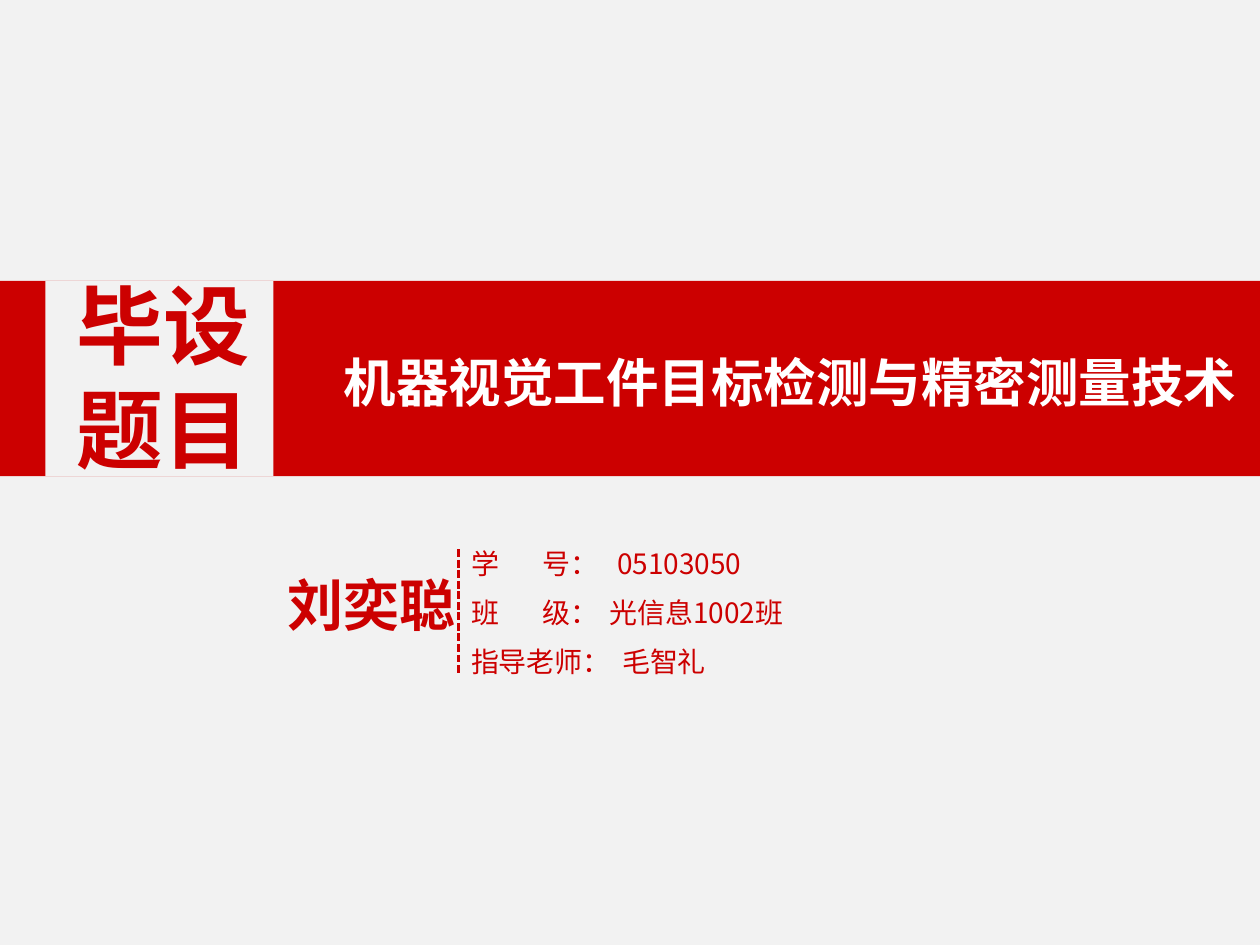
from lxml import etree
from pptx import Presentation
from pptx.dml.color import RGBColor
from pptx.enum.dml import MSO_LINE
from pptx.enum.shapes import MSO_CONNECTOR, MSO_SHAPE
from pptx.enum.text import PP_ALIGN
from pptx.oxml.ns import qn
from pptx.util import Inches, Pt

RECT = MSO_SHAPE.RECTANGLE
LINE = MSO_CONNECTOR.STRAIGHT
DASH = MSO_LINE.SQUARE_DOT
JUST = PP_ALIGN.JUSTIFY
RED, GREY, WHITE = "CC0000", "F2F2F2", "FFFFFF"
SANS, TITLE = "Noto Sans CJK SC", "Noto Sans CJK JP"


def color(code):
    return RGBColor.from_string(code)


class Page:
    """Draws styled elements on one slide."""

    def __init__(self, deck):
        self.slide = deck.slides.add_slide(deck.slide_layouts[6])
        self.shapes = self.slide.shapes
        fill = self.slide.background.fill
        fill.solid()
        fill.fore_color.rgb = color(GREY)

    def rect(self, box, fill):
        shape = self.shapes.add_shape(RECT, *map(Inches, box))
        shape.shadow.inherit = False
        shape.fill.solid()
        shape.fill.fore_color.rgb = color(fill)
        shape.line.fill.background()

    def text(self, box, lines, size, hue=RED, face=SANS, bold=False,
             wrap=True, align=None, indent=None, tabs=()):
        frame = self.shapes.add_textbox(*map(Inches, box)).text_frame
        frame.word_wrap = wrap
        form = {"size": Pt(size), "name": face, "bold": bold}
        for i, line in enumerate(lines):
            para = frame.paragraphs[0] if i == 0 else frame.add_paragraph()
            para.alignment = align
            props = para._p.get_or_add_pPr()
            if indent:
                props.set("marL", "0")
                props.set("indent", str(Inches(indent)))
            if tabs:
                stops = etree.SubElement(props, qn("a:tabLst"))
                for pos in tabs:
                    etree.SubElement(stops, qn("a:tab"),
                                     pos=str(Inches(pos)), algn="l")
            run = para.add_run()
            run.text = line
            for key, value in form.items():
                setattr(run.font, key, value)
            run.font.color.rgb = color(hue)
            etree.SubElement(run._r.get_or_add_rPr(), qn("a:ea"),
                             typeface=face)

    def line(self, ends, hue, width):
        rule = self.shapes.add_connector(LINE, *map(Inches, ends))
        form = {"width": Pt(width), "dash_style": DASH}
        for key, value in form.items():
            setattr(rule.line, key, value)
        rule.line.color.rgb = color(hue)
        etree.SubElement(rule._element.spPr, qn("a:effectLst"))


deck = Presentation()
deck.slide_width, deck.slide_height = Inches(10), Inches(7.5)
page = Page(deck)

page.rect((0, 2.23, 10, 1.55), RED)
page.rect((0.36, 2.23, 1.81, 1.55), GREY)
page.text((0.51, 2.11, 1.74, 1.77), ["毕设", "题目"], 49.5, bold=True)
page.text((2.41, 2.73, 7.61, 0.61), ["机器视觉工件目标检测与精密测量技术"], 30,
          WHITE, TITLE, bold=True, wrap=False, align=JUST, indent=0.22)
page.text((2.18, 4.48, 1.62, 0.64), ["刘奕聪"], 32, bold=True)
page.line((3.64, 4.36, 3.64, 5.34), RED, 1.5)

facts = [
    ("学\t号：\t05103050", (0.57, 1.16)),
    ("班\t级：\t光信息1002班", (0.57, 1.1)),
    ("指导老师：\t毛智礼", (1.2,)),
]
for row, (fact, tabs) in enumerate(facts):
    page.text((3.64, 4.29 + 0.39 * row, 2.93, 0.37), [fact], 16, tabs=tabs)

deck.save("out.pptx")
